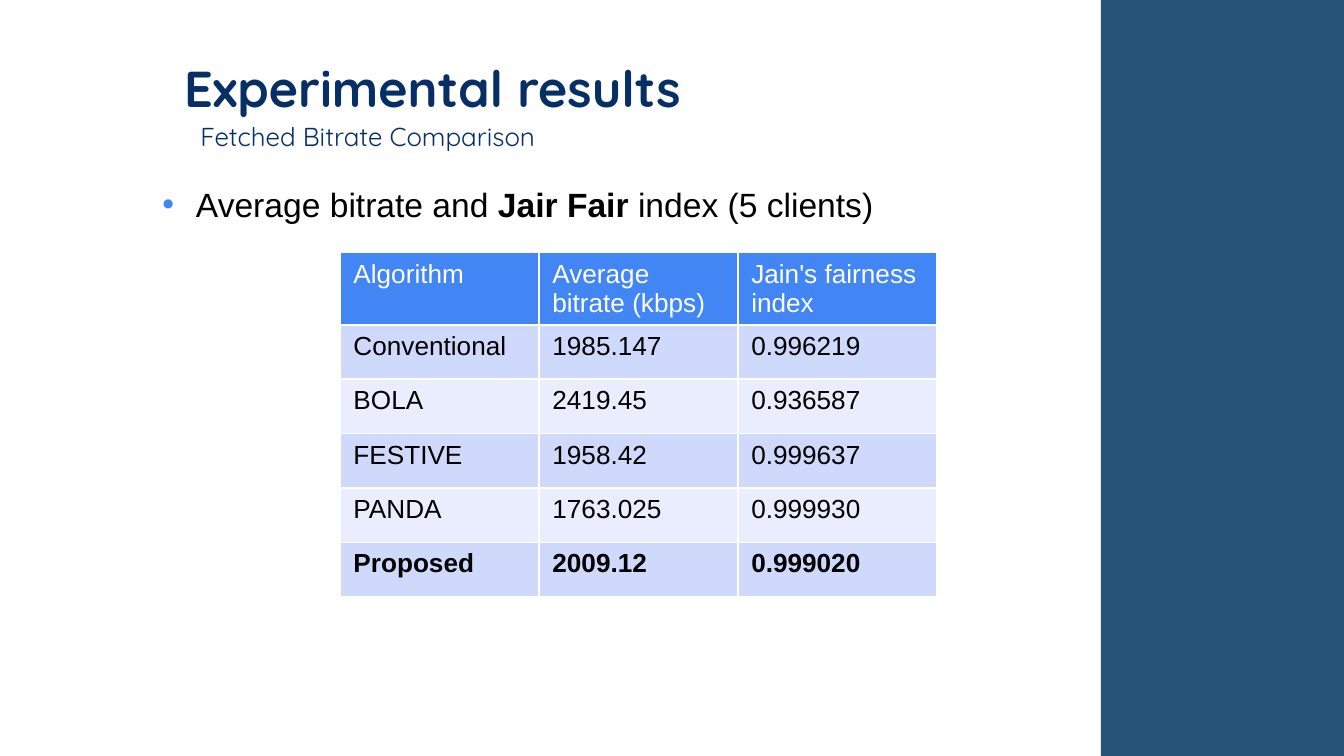
from dataclasses import dataclass

from lxml.etree import SubElement
from pptx import Presentation
from pptx.dml.color import RGBColor as RGB
from pptx.enum.shapes import MSO_SHAPE as SHAPE
from pptx.enum.text import MSO_ANCHOR as ANCHOR, MSO_AUTO_SIZE as AUTOSIZE, PP_ALIGN as ALIGN
from pptx.oxml.ns import qn
from pptx.util import Inches, Pt


@dataclass(frozen=True)
class Theme:
    navy: str = "062F66"
    panel: str = "275476"
    accent: str = "4285F4"
    bands: tuple = ("CFD9FB", "E9EDFD")
    black: str = "000000"
    white: str = "FFFFFF"
    heading_font: str = "Quicksand"
    body_font: str = "Arial"
    title_size: float = 27
    subtitle_size: float = 13.9
    body_size: float = 18
    table_size: float = 14


class SlideBuilder:
    def __init__(self, prs, theme):
        self.theme = theme
        self.s = prs.slides.add_slide(prs.slide_layouts[5])

    def place(self, sp, box):
        sp.left, sp.top, sp.width, sp.height = map(Inches, box)

    def run(self, p, text, font, size, color, bold=False):
        r = p.add_run()
        r.text = text
        r.font.name = font
        r.font.size = Pt(size)
        r.font.bold = bold
        r.font.color.rgb = RGB.from_string(color)

    def frame(self, sp, insets, anchor=ANCHOR.TOP):
        tf = sp.text_frame
        tf.word_wrap = True
        tf.auto_size = AUTOSIZE.NONE
        tf.vertical_anchor = anchor
        tf.margin_left = tf.margin_right = Inches(insets[0])
        tf.margin_top = tf.margin_bottom = Inches(insets[1])
        p = tf.paragraphs[0]
        p.alignment = ALIGN.LEFT
        return p

    def indent(self, p, left, first):
        pPr = p._p.get_or_add_pPr()
        pPr.set("marL", str(Inches(left)))
        pPr.set("indent", str(Inches(first)))
        return pPr

    def panel(self, box):
        sp = self.s.shapes.add_shape(SHAPE.RECTANGLE, *map(Inches, box))
        sp.shadow.inherit = False
        sp.fill.solid()
        sp.fill.fore_color.rgb = RGB.from_string(self.theme.panel)
        sp.line.fill.background()

    def title(self, text, box):
        t = self.theme
        sp = self.s.shapes.title
        self.place(sp, box)
        p = self.frame(sp, (0.07, 0.04))
        p.line_spacing = 0.8
        self.run(p, text, t.heading_font, t.title_size, t.navy, True)

    def subtitle(self, text, box):
        t = self.theme
        sp = self.s.shapes.add_textbox(*map(Inches, box))
        p = self.frame(sp, (0.07, 0.04), ANCHOR.MIDDLE)
        p.line_spacing = 0.8
        self.indent(p, 0.5, -0.38)
        self.run(p, text, t.heading_font, t.subtitle_size, t.navy)

    def bullet(self, parts, box):
        t = self.theme
        sp = self.s.shapes.add_textbox(*map(Inches, box))
        p = self.frame(sp, (0.1, 0.05))
        p.level = 1
        p.line_spacing = 1.2
        p.space_before = Pt(5)
        pPr = self.indent(p, 0.75, -0.25)
        color = SubElement(pPr, qn("a:buClr"))
        SubElement(color, qn("a:srgbClr"), val=t.accent)
        SubElement(pPr, qn("a:buFont"), typeface=t.body_font)
        SubElement(pPr, qn("a:buChar"), char="•")
        for text, bold in parts:
            self.run(p, text, t.body_font, t.body_size, t.black, bold)

    def table(self, rows, box):
        t = self.theme
        n_rows, n_cols = len(rows), len(rows[0])
        table = self.s.shapes.add_table(n_rows, n_cols, *map(Inches, box)).table
        for i, values in enumerate(rows):
            header, last = i == 0, i == n_rows - 1
            fill = t.accent if header else t.bands[(i - 1) % 2]
            color = t.white if header else t.black
            for j, value in enumerate(values):
                cell = table.cell(i, j)
                cell.fill.solid()
                cell.fill.fore_color.rgb = RGB.from_string(fill)
                p = cell.text_frame.paragraphs[0]
                self.run(p, value, t.body_font, t.table_size, color, last)


def main():
    prs = Presentation()
    prs.slide_width = Inches(10)
    prs.slide_height = prs.slide_width * 9 // 16
    slide = SlideBuilder(prs, Theme())
    slide.panel((8.19, 0, 1.81, prs.slide_height.inches))
    slide.title("Experimental results", (1.3, 0.47, 7.35, 0.4))
    slide.subtitle("Fetched Bitrate Comparison", (1.3, 0.9, 7.35, 0.27))
    slide.bullet(
        [("Average bitrate and ", False), ("Jair Fair", True), (" index (5 clients)", False)],
        (0.61, 1.26, 8.72, 3.83))
    results = [
        ("Algorithm", "Average bitrate (kbps)", "Jain's fairness index"),
        ("Conventional", "1985.147", "0.996219"),
        ("BOLA", "2419.45", "0.936587"),
        ("FESTIVE", "1958.42", "0.999637"),
        ("PANDA", "1763.025", "0.999930"),
        ("Proposed", "2009.12", "0.999020"),
    ]
    slide.table(results, (2.53, 1.88, 4.44, 2.43))
    prs.save("out.pptx")


if __name__ == "__main__":
    main()
